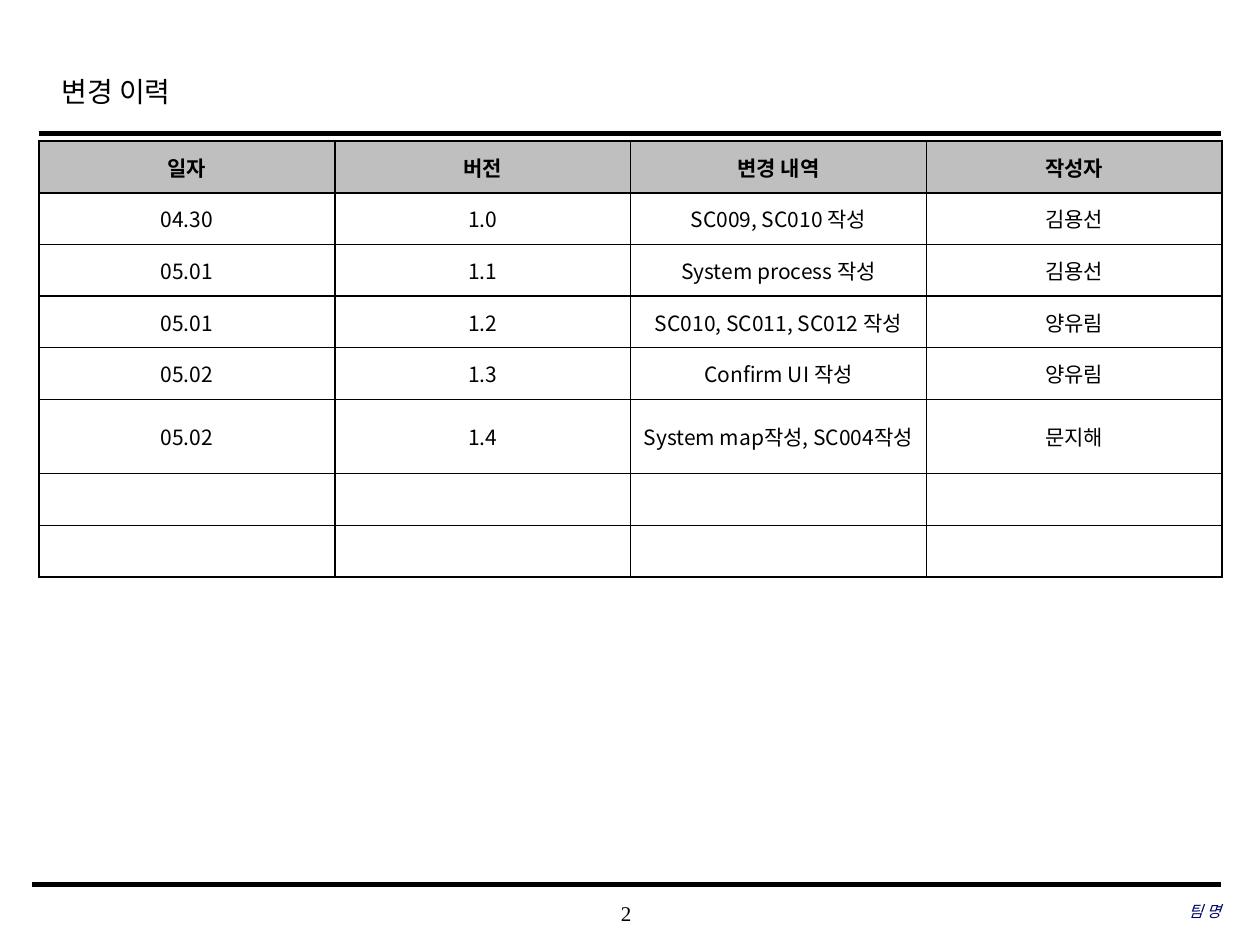
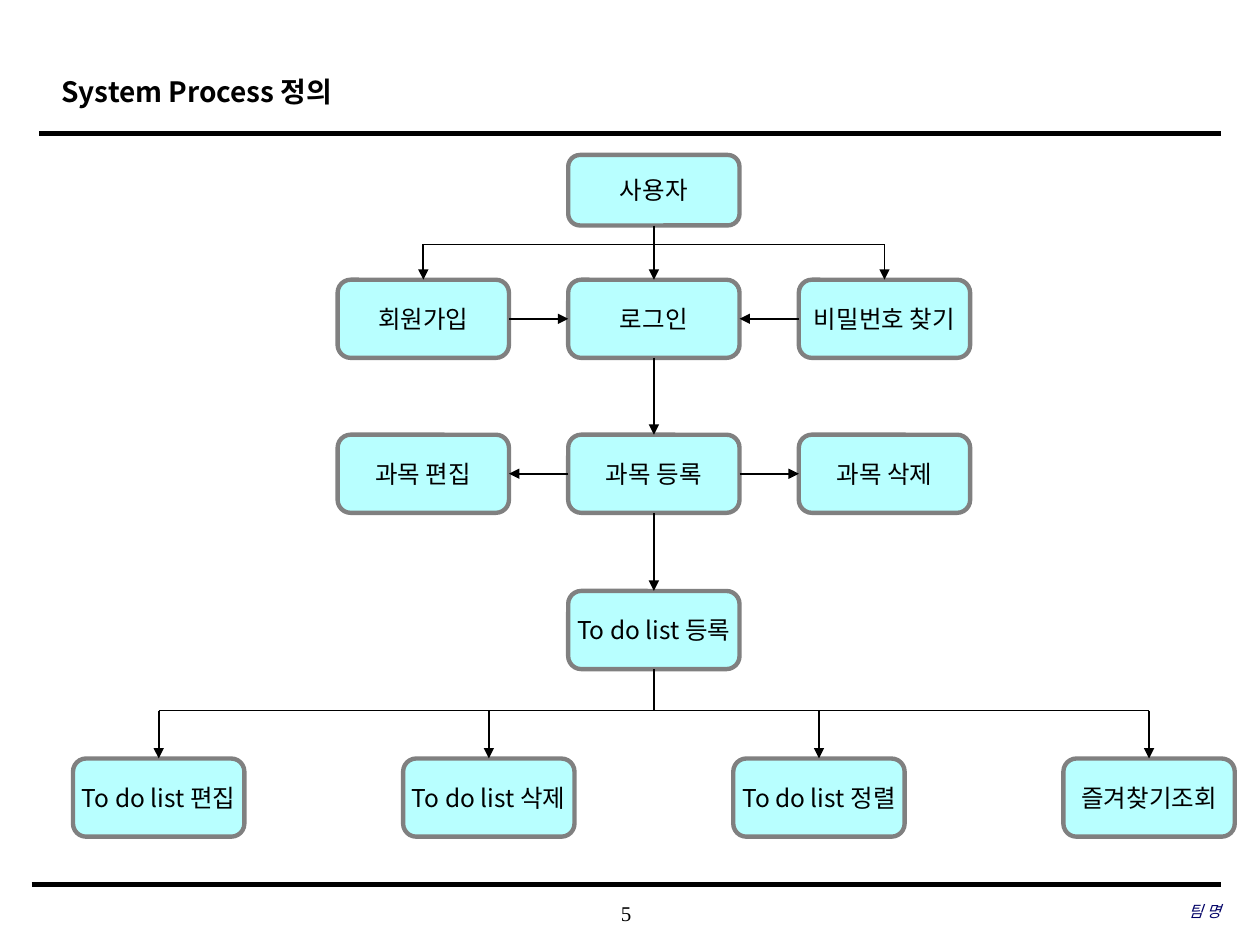
import pptx
import pptx.util
import pptx.dml.color
import pptx.enum.shapes
import pptx.enum.text
import pptx.oxml.ns
from lxml import etree

WIDTH, HEIGHT = 10, 7.5
COLOURS = {
    "black": "000000",
    "white": "FFFFFF",
    "header": "BFBFBF",
    "box": "B8FFFF",
    "box_line": "808080",
    "team": "000066",
}
SANS, SERIF = "Noto Sans CJK KR", "Times New Roman"
LEFT, CENTER, RIGHT = (
    getattr(pptx.enum.text.PP_ALIGN, name) for name in ("LEFT", "CENTER", "RIGHT"))
MIDDLE = pptx.enum.text.MSO_ANCHOR.MIDDLE
TOP_SITE, LEFT_SITE, BOTTOM_SITE, RIGHT_SITE = range(4)

BOX_WIDTH, BOX_HEIGHT, USER_HEIGHT = 1.36, 0.62, 0.56
CENTRE_X, COLUMN_STEP = 5.19, 1.83
TODO_X, TODO_STEP = 1.26, 2.62
ROW_TOPS = [1.23, 2.22, 3.45, 4.69, 6.02]
USER_BUS, TODO_BUS = 1.94, 5.64

ROW_HEIGHT, WRAPPED_ROW_HEIGHT, WRAPPED_ROW = 0.41, 0.59, 5
HISTORY = [
    ["일자", "버전", "변경 내역", "작성자"],
    ["04.30", "1.0", "SC009, SC010 작성", "김용선"],
    ["05.01", "1.1", "System process 작성", "김용선"],
    ["05.01", "1.2", "SC010, SC011, SC012 작성", "양유림"],
    ["05.02", "1.3", "Confirm UI 작성", "양유림"],
    ["05.02", "1.4", "System map작성, SC004작성", "문지해"],
    [""] * 4,
    [""] * 4,
]


def inches(*lengths):
    return [pptx.util.Inches(length) for length in lengths]


def rgb(name):
    return pptx.dml.color.RGBColor.from_string(COLOURS[name])


def add_child(parent, tag, **attributes):
    return etree.SubElement(parent, pptx.oxml.ns.qn(tag), **attributes)


def write(text_frame, text, size, font=SANS, colour="black", align=CENTER,
          bold=False, italic=False):
    text_frame.text = text
    paragraph = text_frame.paragraphs[0]
    paragraph.alignment = align
    for run in paragraph.runs:
        run.font.size = pptx.util.Pt(size)
        run.font.name = font
        run.font.bold = bold
        run.font.italic = italic
        run.font.color.rgb = rgb(colour)
        add_child(run.font._element, "a:ea", typeface=SANS)
    if not text:
        add_child(paragraph._p, "a:endParaRPr", sz=str(size * 100))
    return paragraph


def add_text(slide, bounds, text, size, inset=0.0, **style):
    text_frame = slide.shapes.add_textbox(*inches(*bounds)).text_frame
    text_frame.word_wrap = True
    text_frame.vertical_anchor = MIDDLE
    text_frame.margin_left = text_frame.margin_right = pptx.util.Inches(inset)
    text_frame.margin_top = text_frame.margin_bottom = pptx.util.Inches(inset / 2)
    return write(text_frame, text, size, **style)


def add_line(slide, start=(0, 0), end=(0, 0), width=1, arrow=False,
             source=None, target=None):
    connector = slide.shapes.add_connector(
        pptx.enum.shapes.MSO_CONNECTOR.STRAIGHT, *inches(*start, *end))
    connector.line.color.rgb = rgb("black")
    connector.line.width = pptx.util.Pt(width)
    if arrow:
        add_child(connector.line._get_or_add_ln(), "a:tailEnd", type="triangle")
    add_child(connector._element.spPr, "a:effectLst")
    if source:
        connector.begin_connect(*source)
    if target:
        connector.end_connect(*target)


def add_box(slide, centre, row, text, height=BOX_HEIGHT):
    shape = slide.shapes.add_shape(
        pptx.enum.shapes.MSO_SHAPE.ROUNDED_RECTANGLE,
        *inches(centre - BOX_WIDTH / 2, ROW_TOPS[row], BOX_WIDTH, height))
    shape.shadow.inherit = False
    shape.fill.solid()
    shape.fill.fore_color.rgb = rgb("box")
    shape.line.color.rgb = rgb("box_line")
    shape.line.width = pptx.util.Pt(2.5)
    shape.text_frame.word_wrap = False
    shape.text_frame.vertical_anchor = MIDDLE
    write(shape.text_frame, text, 14)
    return shape


def add_box_row(slide, row, texts):
    return [add_box(slide, CENTRE_X + (column - 1) * COLUMN_STEP, row, text)
            for column, text in enumerate(texts)]


def add_bus(slide, level, boxes, centres):
    add_line(slide, (centres[0], level), (centres[-1], level))
    for box, centre in zip(boxes, centres):
        add_line(slide, (centre, level), (centre, level + 0.3), arrow=True,
                 target=(box, TOP_SITE))


def add_cell_borders(cell):
    properties = cell._tc.get_or_add_tcPr()
    for index, side in enumerate(("a:lnL", "a:lnR", "a:lnT", "a:lnB")):
        border = etree.Element(pptx.oxml.ns.qn(side), w="12700")
        add_child(add_child(border, "a:solidFill"), "a:srgbClr", val=COLOURS["black"])
        properties.insert(index, border)


def add_history_table(slide):
    rows, columns = len(HISTORY), len(HISTORY[0])
    table = slide.shapes.add_table(
        rows, columns, *inches(0.31, 1.12, 9.39, rows * ROW_HEIGHT)).table
    table.rows[WRAPPED_ROW].height = pptx.util.Inches(WRAPPED_ROW_HEIGHT)
    for row, texts in enumerate(HISTORY):
        for column, text in enumerate(texts):
            cell = table.cell(row, column)
            cell.fill.solid()
            cell.fill.fore_color.rgb = rgb("white" if row else "header")
            cell.vertical_anchor = MIDDLE
            write(cell.text_frame, text, 12, bold=row == 0)
            add_cell_borders(cell)


def add_page(presentation, title, number, **title_style):
    slide = presentation.slides.add_slide(presentation.slide_layouts[6])
    add_line(slide, (0.31, 1.06), (9.69, 1.06), 2.5)
    add_line(slide, (0.25, 7.02), (9.69, 7.02), 3)
    add_text(slide, (3.93, 7.08, 2.08, 0.33), number, 12, font=SERIF)
    add_text(slide, (6.63, 7.07, 3.06, 0.33), "팀 명", 9, font=SERIF,
             colour="team", align=RIGHT, italic=True)
    heading = add_text(slide, (0.39, 0.45, 7.55, 0.5), title, 16, inset=0.1,
                       align=LEFT, **title_style)
    heading.line_spacing = 1.2
    return slide


def add_process_flow(slide):
    user = add_box(slide, CENTRE_X, 0, "사용자", USER_HEIGHT)
    join, login, password = add_box_row(slide, 1, ["회원가입", "로그인", "비밀번호 찾기"])
    edit, register, delete = add_box_row(slide, 2, ["과목 편집", "과목 등록", "과목 삭제"])
    todo = add_box(slide, CENTRE_X, 3, "To do list 등록")
    todo_texts = ["To do list 편집", "To do list 삭제", "To do list 정렬", "즐겨찾기조회"]
    todo_centres = [TODO_X + index * TODO_STEP for index in range(len(todo_texts))]
    todo_boxes = [add_box(slide, centre, 4, text)
                  for centre, text in zip(todo_centres, todo_texts)]

    for source, source_site, target, target_site in [
        (user, BOTTOM_SITE, login, TOP_SITE),
        (join, RIGHT_SITE, login, LEFT_SITE),
        (password, LEFT_SITE, login, RIGHT_SITE),
        (login, BOTTOM_SITE, register, TOP_SITE),
        (register, BOTTOM_SITE, todo, TOP_SITE),
        (register, LEFT_SITE, edit, RIGHT_SITE),
        (register, RIGHT_SITE, delete, LEFT_SITE),
    ]:
        add_line(slide, arrow=True, source=(source, source_site),
                 target=(target, target_site))

    add_bus(slide, USER_BUS, [join, password],
            [CENTRE_X - COLUMN_STEP, CENTRE_X + COLUMN_STEP])
    add_line(slide, (CENTRE_X, ROW_TOPS[3] + BOX_HEIGHT), (CENTRE_X, TODO_BUS),
             source=(todo, BOTTOM_SITE))
    add_bus(slide, TODO_BUS, todo_boxes, todo_centres)


def main():
    presentation = pptx.Presentation()
    presentation.slide_width, presentation.slide_height = inches(WIDTH, HEIGHT)
    add_history_table(add_page(presentation, "변경 이력", "2", font=SERIF))
    add_process_flow(add_page(presentation, "System Process 정의", "5", bold=True))
    presentation.save("out.pptx")


main()
